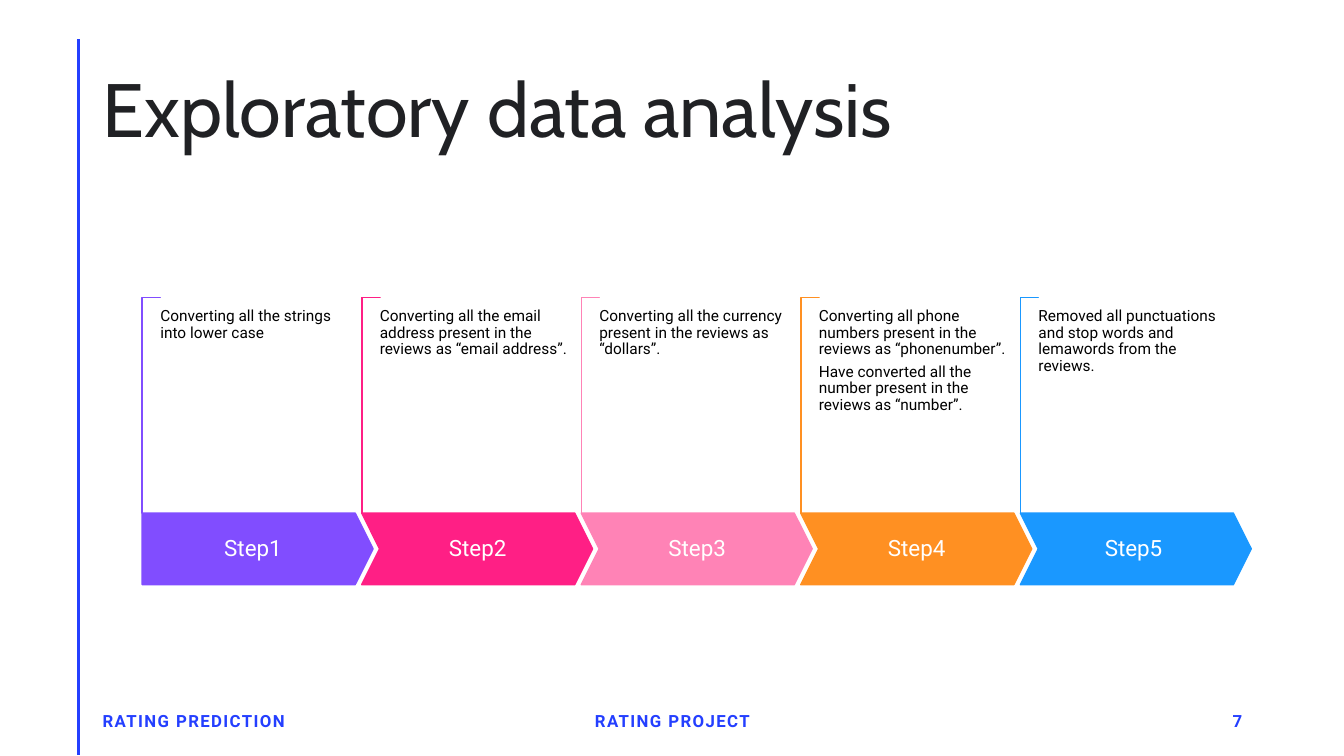
import pptx
import pptx.util
import pptx.dml.color
import pptx.enum.shapes
import pptx.enum.text

Inches = pptx.util.Inches
Pt = pptx.util.Pt
PRESET = pptx.enum.shapes.MSO_SHAPE
ALIGN = pptx.enum.text.PP_ALIGN
ANCHOR = pptx.enum.text.MSO_ANCHOR

BLUE, INK, BLACK, WHITE = "243FFF", "202124", "000000", "FFFFFF"
FIRST_LEFT, PITCH = 1.41, 2.1775
ARROW_TOP, ARROW_WIDTH, ARROW_HEIGHT = 5.09, 2.29, 0.71
BRACKET_TOP, BRACKET_WIDTH = 2.95, 0.18

STEPS = [
    ("Step1", "814DFF", ["Converting all the strings into lower case"]),
    ("Step2", "FF1F85", ["Converting all the email address present in the "
                         "reviews as “email address”."]),
    ("Step3", "FF83B6", ["Converting all the currency present in the reviews "
                         "as “dollars”."]),
    ("Step4", "FF9022", ["Converting all phone numbers present in the reviews "
                         "as “phonenumber”.",
                         "Have converted all the number present in the "
                         "reviews as “number”."]),
    ("Step5\u00a0", "1A98FF", ["Removed all punctuations and stop words and "
                               "lemawords from the reviews."]),
]
FOOTERS = [
    ("RATING PREDICTION", 0.92, 3, ALIGN.LEFT),
    ("RATING PROJECT", 4.42, 4.5, ALIGN.CENTER),
    ("7", 9.42, 3, ALIGN.RIGHT),
]


def rgb(hex_color):
    """Turn a hex string into a colour."""
    return pptx.dml.color.RGBColor.from_string(hex_color)


def add_text(slide, box, lines, size, color, font="Roboto", align=ALIGN.LEFT,
             anchor=ANCHOR.MIDDLE, insets=(0.1, 0.05), leading=0.9,
             after=0, bold=False, tracking=0):
    """Add a text box with one paragraph for each line."""
    frame = slide.shapes.add_textbox(*map(Inches, box)).text_frame
    frame.word_wrap = True
    frame.vertical_anchor = anchor
    frame.margin_left = frame.margin_right = Inches(insets[0])
    frame.margin_top = frame.margin_bottom = Inches(insets[1])
    for number, line in enumerate(lines):
        paragraph = frame.add_paragraph() if number else frame.paragraphs[0]
        paragraph.alignment = align
        paragraph.line_spacing = leading
        paragraph.space_after = Pt(after)
        run = paragraph.add_run()
        run.text = line
        run.font.name = font
        run.font.size = Pt(size)
        run.font.bold = bold
        run.font.color.rgb = rgb(color)
        if tracking:
            run.font._element.set("spc", str(tracking * 100))


def add_preset(slide, preset, box, fill, line, adjustments):
    """Add a filled preset shape with a thin outline."""
    shape = slide.shapes.add_shape(preset, *map(Inches, box))
    shape.shadow.inherit = False
    shape.fill.solid()
    shape.fill.fore_color.rgb = rgb(fill)
    shape.line.color.rgb = rgb(line)
    shape.line.width = Pt(1)
    for number, value in enumerate(adjustments):
        shape.adjustments[number] = value
    return shape


def add_side_rule(slide):
    """Add the vertical rule along the left margin."""
    rule = slide.shapes.add_connector(
        pptx.enum.shapes.MSO_CONNECTOR.STRAIGHT,
        *map(Inches, (0.78, 0.39, 0.78, 7.49)))
    rule.line.color.rgb = rgb(BLUE)
    rule.line.width = Pt(2)
    properties = rule._element.spPr
    properties.append(properties.makeelement(
        pptx.oxml.ns.qn("a:effectLst"), {}))


def add_step(slide, index, label, color, notes):
    """Add one step: its bracket, arrow, label and description."""
    left = FIRST_LEFT + index * PITCH
    first = index == 0

    # The corner is laid out lengthwise, then turned about its centre.
    length = ARROW_TOP - BRACKET_TOP
    shift = (length - BRACKET_WIDTH) / 2
    bracket = add_preset(
        slide, PRESET.CORNER,
        (left - shift, BRACKET_TOP + shift, length, BRACKET_WIDTH),
        WHITE, color, (0.01, 0.01))
    bracket.rotation = 90

    add_preset(slide, PRESET.PENTAGON if first else PRESET.CHEVRON,
               (left, ARROW_TOP, ARROW_WIDTH, ARROW_HEIGHT),
               color, color, (0.25,))
    label_left, label_width = (left, 2.2) if first else (left + 0.18, 1.94)
    add_text(slide, (label_left, ARROW_TOP, label_width, ARROW_HEIGHT),
             [label], 16, WHITE, align=ALIGN.CENTER, insets=(0.11, 0.22))
    add_text(slide, (left + BRACKET_WIDTH, 3.06, 1.86, 1.5), notes, 11, BLACK,
             anchor=ANCHOR.TOP, insets=(0, 0), after=4)


def main():
    """Build the slide and save it."""
    deck = pptx.Presentation()
    deck.slide_width, deck.slide_height = Inches(13.33), Inches(7.5)
    slide = deck.slides.add_slide(deck.slide_layouts[6])

    add_side_rule(slide)
    add_text(slide, (0.92, 0.4, 11.5, 1.45), ["Exploratory data analysis"],
             54, INK, font="Cabin")
    for index, (label, color, notes) in enumerate(STEPS):
        add_step(slide, index, label, color, notes)
    for words, left, width, align in FOOTERS:
        add_text(slide, (left, 6.95, width, 0.4), [words], 12, BLUE,
                 align=align, leading=1.0, bold=True, tracking=1)

    deck.save("out.pptx")


main()
